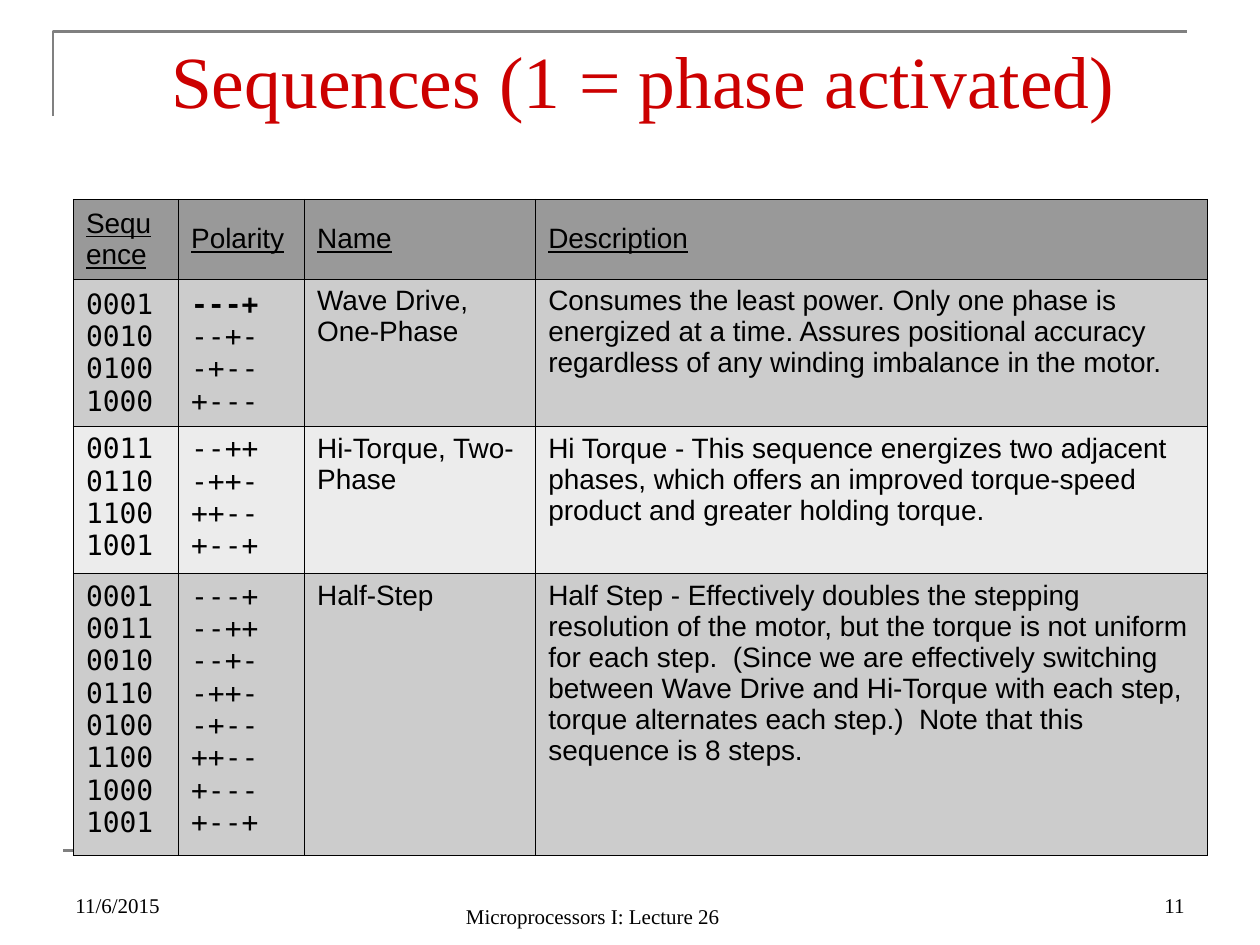
import copy

import lxml.etree
import pptx
import pptx.dml.color
import pptx.enum.text
import pptx.oxml
import pptx.oxml.ns
import pptx.util

Cm = pptx.util.Cm
Anchor = pptx.enum.text.MSO_ANCHOR
Align = pptx.enum.text.PP_ALIGN
qn = pptx.oxml.ns.qn


def color(hex_string):
    return pptx.dml.color.RGBColor.from_string(hex_string)


def write(frame, text, font="Times New Roman", size=12, ink="000000", align=Align.LEFT,
          anchor=Anchor.TOP, underline=False, bold_first_line=False):
    frame.word_wrap = True
    frame.vertical_anchor = anchor
    paragraph = frame.paragraphs[0]
    paragraph.alignment = align
    for number, line in enumerate(text.split("\n")):
        if number:
            paragraph.add_line_break()
        run = paragraph.add_run()
        run.text = line
        run.font.name = font
        run.font.size = pptx.util.Pt(size)
        run.font.color.rgb = color(ink)
        run.font.underline = underline
        run.font.bold = bold_first_line and number == 0
    # Line breaks take the size and font of the text
    for line_break in paragraph._p.findall(qn("a:br")):
        line_break.append(copy.deepcopy(run._r.rPr))


presentation = pptx.Presentation()
presentation.slide_width = Cm(25.4)
presentation.slide_height = Cm(19.05)
slide = presentation.slides.add_slide(presentation.slide_layouts[6])

# Corner frame at the top
builder = slide.shapes.build_freeform(Cm(1.07), Cm(2.34))
builder.add_line_segments([(Cm(1.07), Cm(0.64)), (Cm(23.93), Cm(0.64))], close=False)
corner = builder.convert_to_shape()
corner.shadow.inherit = False
corner.fill.background()

# Rule above the footer
rule = slide.shapes.add_connector(
    pptx.enum.shapes.MSO_CONNECTOR.STRAIGHT, Cm(1.27), Cm(17.15), Cm(24.13), Cm(17.15))
lxml.etree.SubElement(rule._element.spPr, qn("a:effectLst"))
for shape in (corner, rule):
    shape.line.color.rgb = color("808080")
    shape.line.width = pptx.util.Pt(1.5)
# The effect list belongs after the line
rule._element.spPr.append(rule._element.spPr.find(qn("a:effectLst")))

# Title and footer
texts = [
    ("Sequences (1 = phase activated)", 3.2, 0.58, 21.64, 2.79,
     dict(size=42, ink="CC0000")),
    ("Microprocessors I: Lecture 26", 6.55, 17.58, 10.8, 1.27,
     dict(align=Align.CENTER, anchor=Anchor.BOTTOM)),
    ("11", 18.21, 17.35, 5.92, 1.27, dict(align=Align.RIGHT, anchor=Anchor.BOTTOM)),
    ("11/6/2015", 1.27, 17.35, 5.92, 1.27, dict(anchor=Anchor.BOTTOM)),
]
for text, left, top, width, height, style in texts:
    box = slide.shapes.add_textbox(Cm(left), Cm(top), Cm(width), Cm(height))
    write(box.text_frame, text, **style)

# Table of stepping sequences
rows = [
    ("Sequence", "Polarity", "Name", "Description"),
    ("0001\n0010\n0100\n1000", "---+\n--+-\n-+--\n+---", "Wave Drive, One-Phase",
     "Consumes the least power. Only one phase is energized at a time. Assures positional "
     "accuracy regardless of any winding imbalance in the motor."),
    ("0011\n0110\n1100\n1001", "--++\n-++-\n++--\n+--+", "Hi-Torque, Two-Phase",
     "Hi Torque - This sequence energizes two adjacent phases, which offers an improved "
     "torque-speed product and greater holding torque."),
    ("0001\n0011\n0010\n0110\n0100\n1100\n1000\n1001",
     "---+\n--++\n--+-\n-++-\n-+--\n++--\n+---\n+--+", "Half-Step",
     "Half Step - Effectively doubles the stepping resolution of the motor, but the torque "
     "is not uniform for each step.\u00a0 (Since we are effectively switching between Wave "
     "Drive and Hi-Torque with each step, torque alternates each step.)\u00a0 Note that this "
     "sequence is 8 steps."),
]
row_fills = ["999999", "CCCCCC", "ECECEC", "CCCCCC"]
row_heights = [1.6, 2.97, 2.97, 5.66]
column_widths = [2.12, 2.54, 4.66, 13.54]

table = slide.shapes.add_table(len(rows), len(column_widths), Cm(1.48), Cm(4.02),
                               Cm(sum(column_widths)), Cm(sum(row_heights))).table
for column, width in zip(table.columns, column_widths):
    column.width = Cm(width)
for row, height in zip(table.rows, row_heights):
    row.height = Cm(height)

for row_number, row in enumerate(rows):
    for column_number, text in enumerate(row):
        cell = table.cell(row_number, column_number)
        is_header = row_number == 0
        is_code = not is_header and column_number < 2
        centred = is_header or (row_number == 1 and is_code)
        write(cell.text_frame, text, size=16, underline=is_header,
              font="DejaVu Sans Mono" if is_code else "Arial",
              bold_first_line=(row_number, column_number) == (1, 1))
        cell.vertical_anchor = Anchor.MIDDLE if centred else Anchor.TOP
        properties = cell._tc.get_or_add_tcPr()
        for side in ("lnL", "lnR", "lnT", "lnB"):
            border = lxml.etree.SubElement(properties, qn("a:" + side), w="9525")
            border_fill = lxml.etree.SubElement(border, qn("a:solidFill"))
            lxml.etree.SubElement(border_fill, qn("a:srgbClr"), val="000000")
        cell.fill.solid()
        cell.fill.fore_color.rgb = color(row_fills[row_number])

presentation.save("out.pptx")
